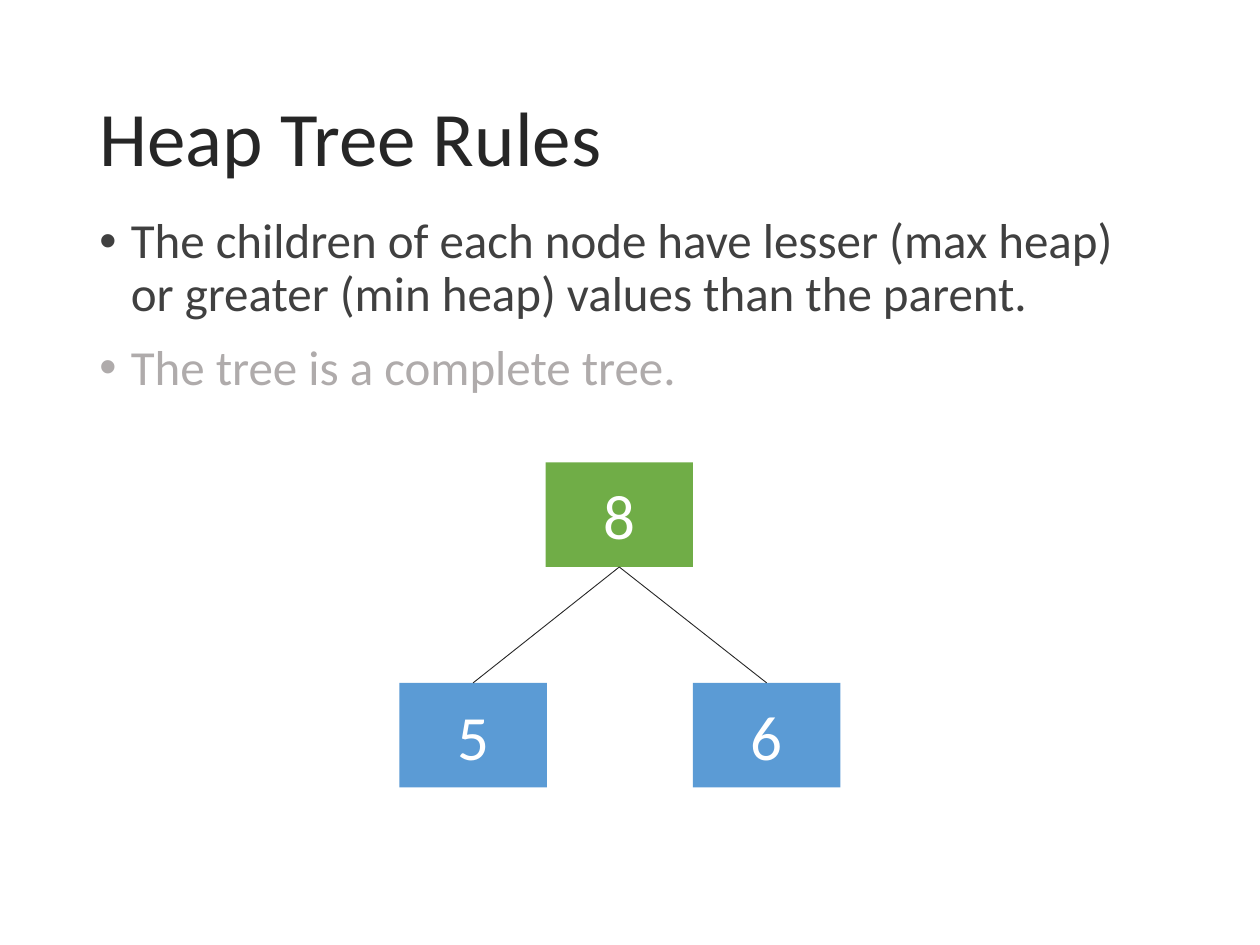
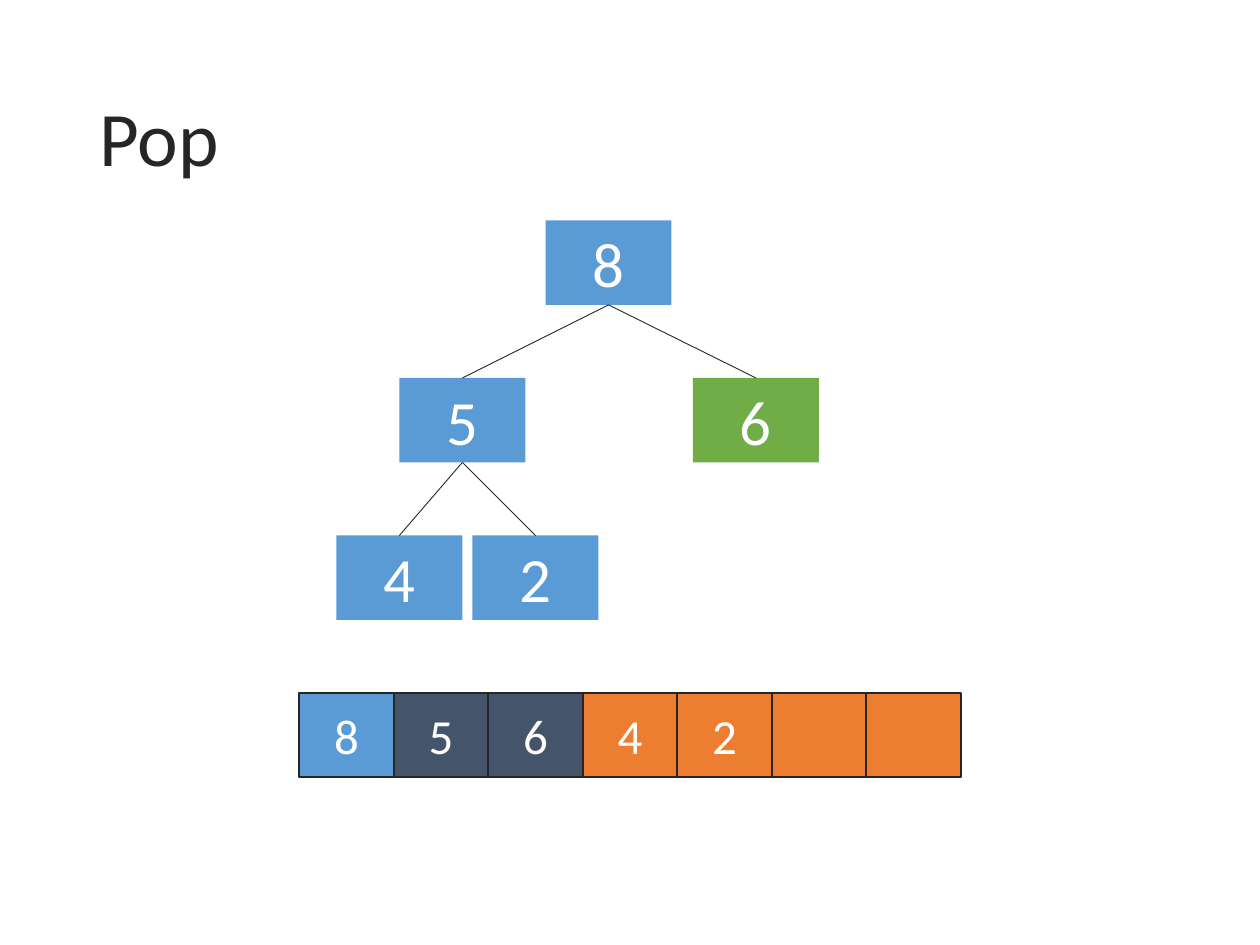
from lxml import etree
from pptx import Presentation
from pptx.dml.color import RGBColor
from pptx.enum.shapes import MSO_CONNECTOR, MSO_SHAPE
from pptx.enum.text import MSO_ANCHOR, PP_ALIGN
from pptx.oxml.ns import qn
from pptx.util import Inches, Pt

RECTANGLE = MSO_SHAPE.RECTANGLE
STRAIGHT = MSO_CONNECTOR.STRAIGHT
MIDDLE = MSO_ANCHOR.MIDDLE
CENTER = PP_ALIGN.CENTER

FONT = "Calibri"
INK = "262626"
BODY = "404040"
FADED = "AFABAB"
WHITE = "FFFFFF"
BLUE = "5B9BD5"
GREEN = "70AD47"
SLATE = "44546A"
ORANGE = "ED7D31"
color = RGBColor.from_string

TEXT_LEFT, TEXT_WIDTH = 0.69, 8.62
ROOT_LEFT, LEFT_CHILD, RIGHT_CHILD = 4.33, 3.17, 5.5

rules = [
    ("The children of each node have lesser (max heap) or greater (min heap) "
     "values than the parent.", BODY),
    ("The tree is a complete tree.", FADED),
]

# Each node: value, left, level, fill, parent value
rules_tree = [
    ("8", ROOT_LEFT, 0, GREEN, None),
    ("5", LEFT_CHILD, 1, BLUE, "8"),
    ("6", RIGHT_CHILD, 1, BLUE, "8"),
]
pop_tree = [
    ("8", ROOT_LEFT, 0, BLUE, None),
    ("5", LEFT_CHILD, 1, BLUE, "8"),
    ("6", RIGHT_CHILD, 1, GREEN, "8"),
    ("4", 2.67, 2, BLUE, "5"),
    ("2", 3.75, 2, BLUE, "5"),
]

# Each slide: title, tree, root top, level step, node width, node height
slides = [
    ("Heap Tree Rules", rules_tree, 3.67, 1.75, 1.17, 0.83),
    ("Pop", pop_tree, 1.75, 1.25, 1, 0.67),
]

heap_array = [("8", BLUE), ("5", SLATE), ("6", SLATE), ("4", ORANGE),
              ("2", ORANGE), ("", ORANGE), ("", ORANGE)]
ARRAY_LEFT, ARRAY_TOP = 2.375, 5.5
CELL_WIDTH, CELL_HEIGHT = 0.75, 0.67


def add_span(para, text, size, hex_color):
    span = para.add_run()
    span.text = text
    span.font.name = FONT
    span.font.size = Pt(size)
    span.font.color.rgb = color(hex_color)


def add_value_box(page, value, left, top, width, height, fill, size):
    """Add a filled rectangle with a centred value and no outline."""
    box = page.shapes.add_shape(
        RECTANGLE, Inches(left), Inches(top), Inches(width), Inches(height))
    box.shadow.inherit = False
    box.fill.solid()
    box.fill.fore_color.rgb = color(fill)
    box.line.fill.background()
    box.text_frame.vertical_anchor = MIDDLE
    if value:
        para = box.text_frame.paragraphs[0]
        para.alignment = CENTER
        add_span(para, value, size, WHITE)
    return box


deck = Presentation()
deck.slide_width = Inches(10)
deck.slide_height = Inches(7.5)
blank = deck.slide_layouts[6]

# Titles and trees
pages = []
for title, tree, root_top, step, width, height in slides:
    page = deck.slides.add_slide(blank)
    pages.append(page)

    box = page.shapes.add_textbox(
        Inches(TEXT_LEFT), Inches(0.4), Inches(TEXT_WIDTH), Inches(1.45))
    box.text_frame.word_wrap = True
    box.text_frame.vertical_anchor = MIDDLE
    para = box.text_frame.paragraphs[0]
    para.line_spacing = 0.9
    add_span(para, title, 44, INK)

    places = {}
    for value, left, level, fill, parent in tree:
        top = root_top + level * step
        add_value_box(page, value, left, top, width, height, fill, 36)
        middle = left + width / 2
        places[value] = (middle, top)
        if parent:
            parent_middle, parent_top = places[parent]
            edge = page.shapes.add_connector(
                STRAIGHT, Inches(middle), Inches(top),
                Inches(parent_middle), Inches(parent_top + height))
            edge.line.color.rgb = color(INK)
            edge.line.width = Pt(0.5)
            etree.SubElement(edge._element.spPr, qn("a:effectLst"))

rules_page, pop_page = pages

# Bulleted rules
box = rules_page.shapes.add_textbox(
    Inches(TEXT_LEFT), Inches(1.67), Inches(TEXT_WIDTH), Inches(1.58))
frame = box.text_frame
frame.word_wrap = True
for index, (rule, hex_color) in enumerate(rules):
    para = frame.add_paragraph() if index else frame.paragraphs[0]
    properties = para._p.get_or_add_pPr()
    properties.set("marL", str(Inches(0.25)))
    properties.set("indent", str(Inches(-0.25)))
    etree.SubElement(properties, qn("a:buFont"), typeface="Arial")
    etree.SubElement(properties, qn("a:buChar"), char="•")
    para.line_spacing = 0.9
    if index:
        para.space_before = Pt(12)
    add_span(para, rule, 28, hex_color)

# Array that stores the heap
for index, (value, fill) in enumerate(heap_array):
    cell = add_value_box(pop_page, value, ARRAY_LEFT + index * CELL_WIDTH,
                         ARRAY_TOP, CELL_WIDTH, CELL_HEIGHT, fill, 28)
    cell.line.color.rgb = color(INK)
    cell.line.width = Pt(1)

deck.save("out.pptx")
